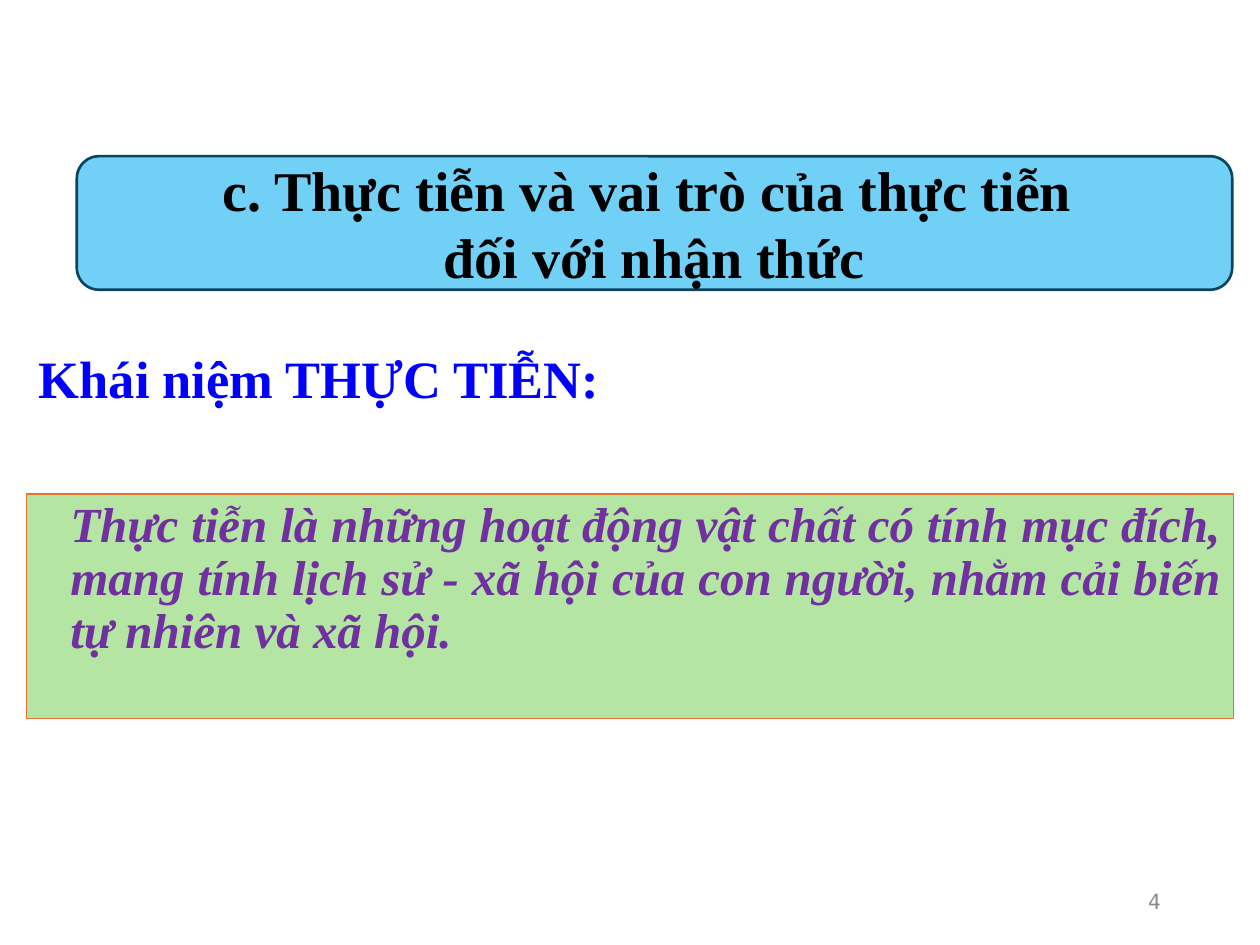
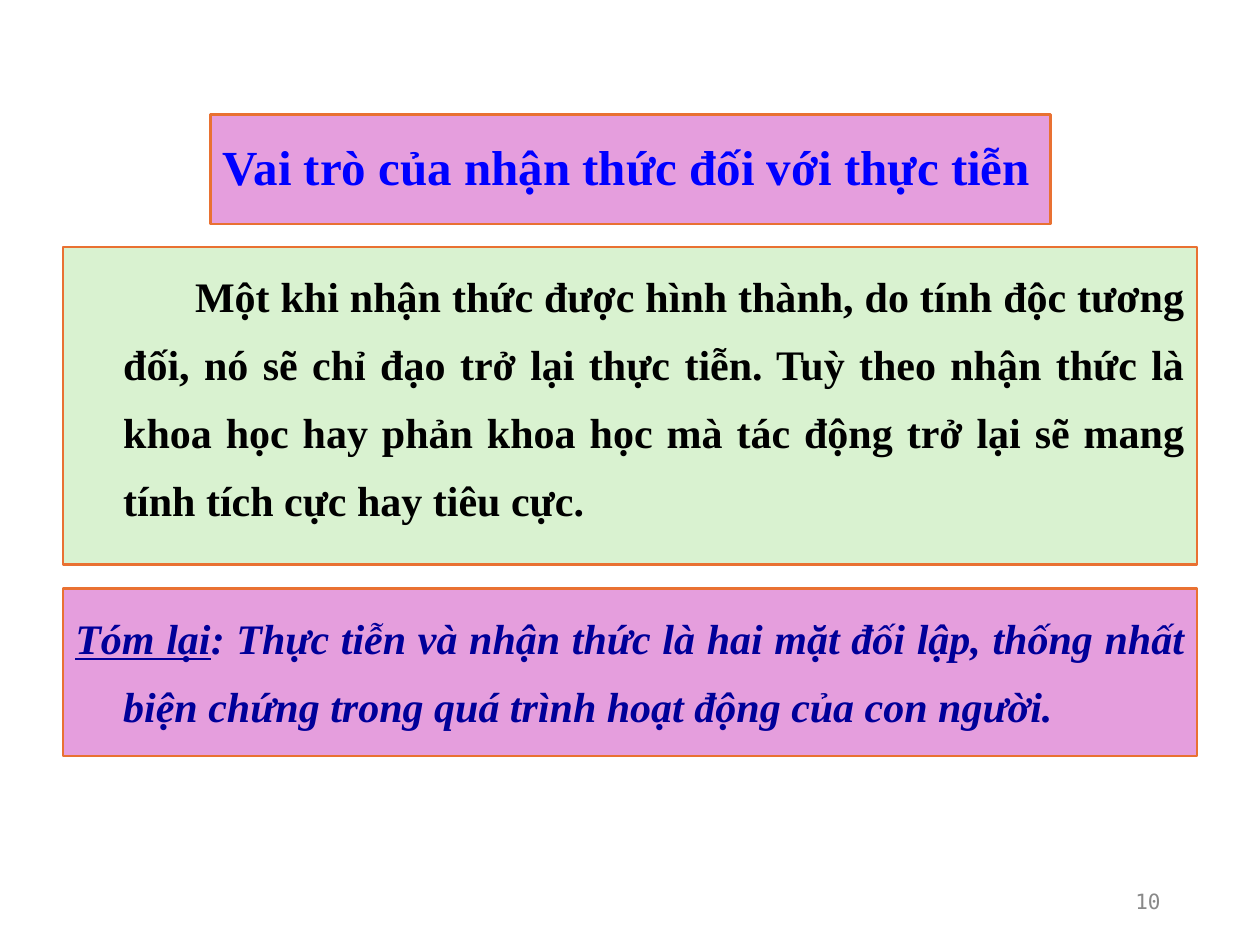
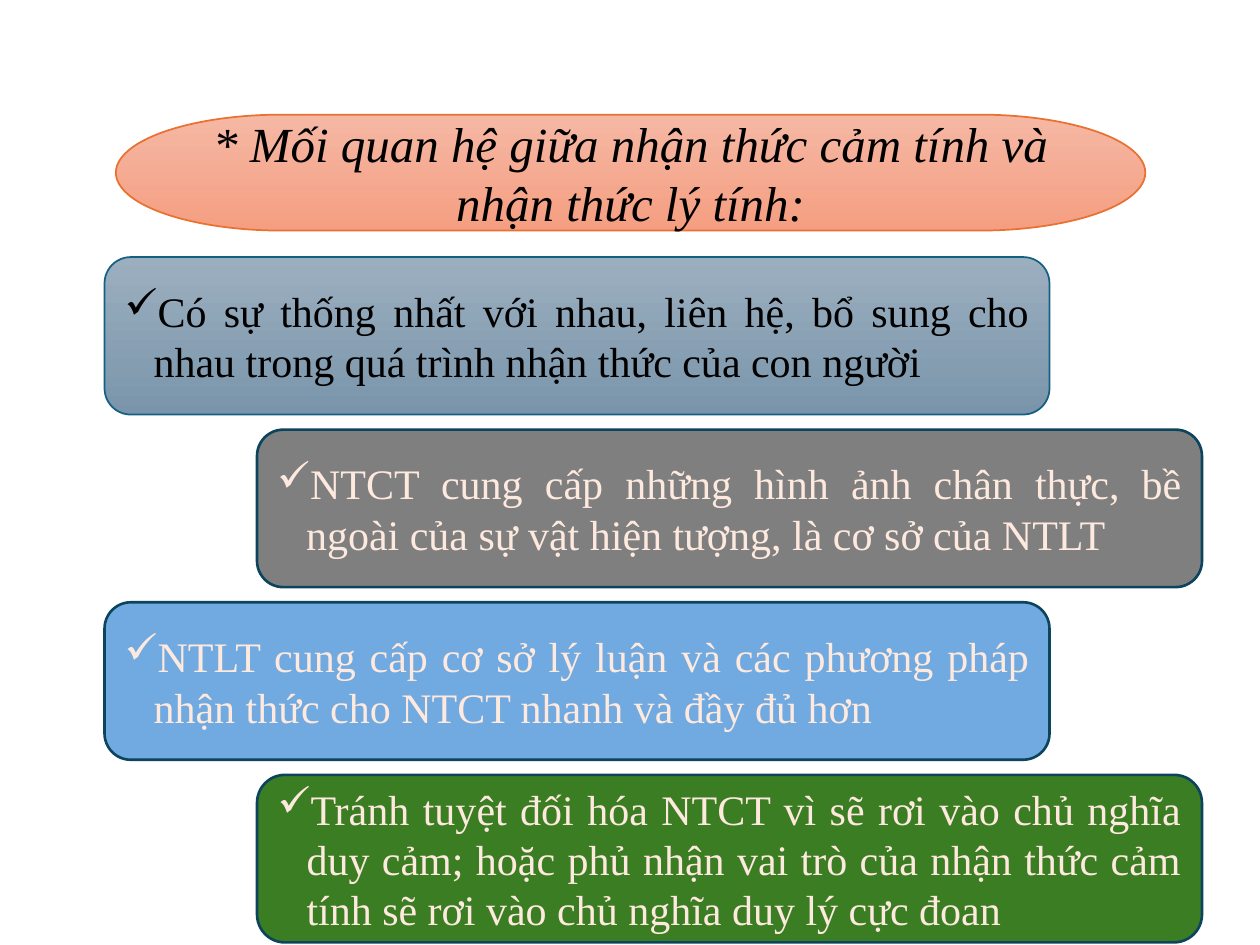
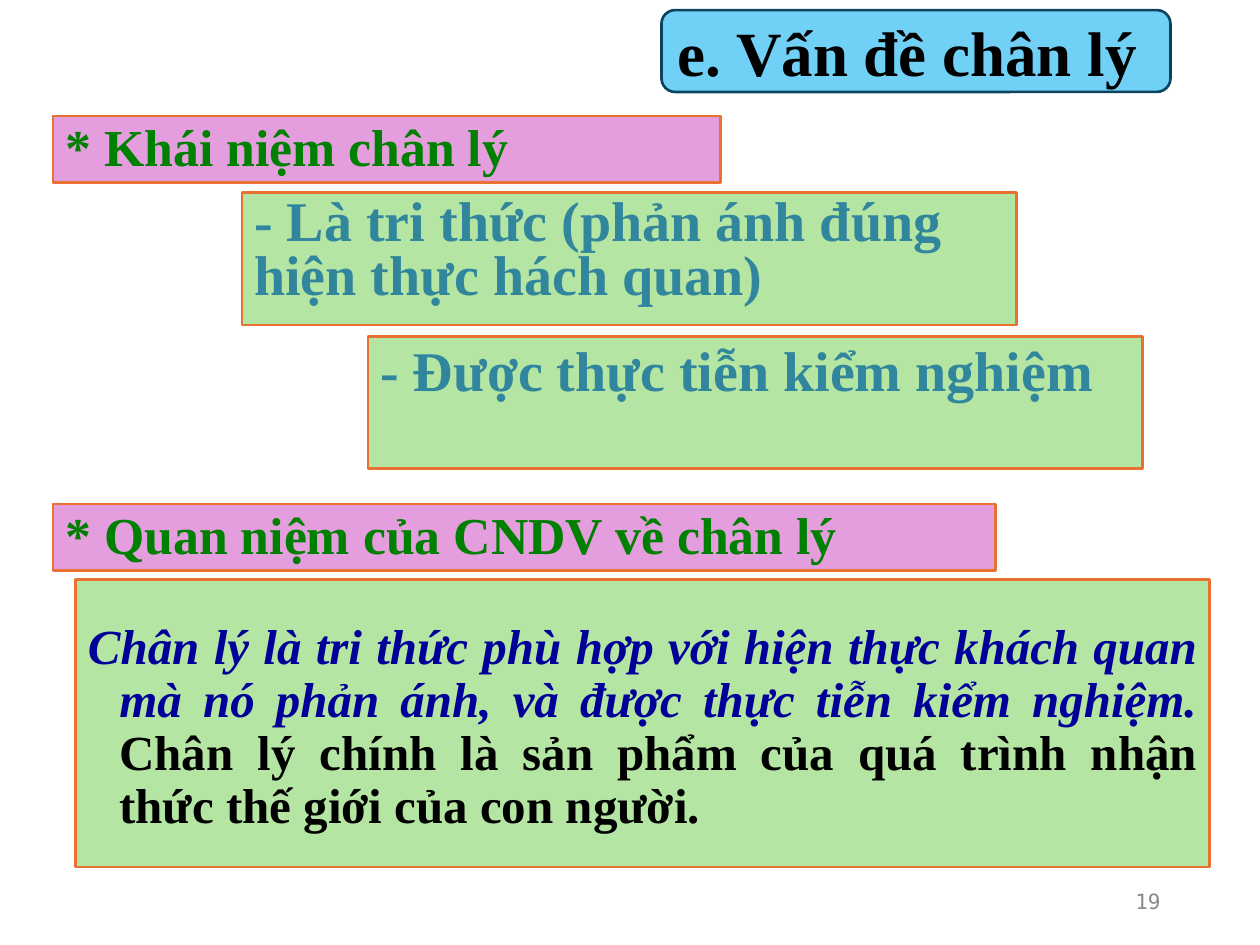
from dataclasses import dataclass

from lxml.etree import SubElement
from pptx import Presentation
from pptx.dml.color import RGBColor
from pptx.enum.shapes import MSO_SHAPE
from pptx.enum.text import MSO_ANCHOR, PP_ALIGN
from pptx.oxml.ns import qn
from pptx.util import Inches, Pt


@dataclass(frozen=True)
class Theme:
    font: str = "Times New Roman"
    number_font: str = "DejaVu Sans Mono"
    black: str = "000000"
    blue: str = "0000FF"
    navy: str = "000099"
    purple: str = "7030A0"
    teal: str = "31859C"
    dark_green: str = "008000"
    cream: str = "FEE9DE"
    grey: str = "898989"
    sky: str = "61CBF4"
    sky_edge: str = "0C445E"
    steel_edge: str = "156082"
    orange: str = "E97132"
    pink: str = "E59EDD"
    green: str = "B4E5A2"
    pale_green: str = "D9F2D0"
    peach_fade: tuple = ("F5B8A4", "F59E81")
    steel_fade: tuple = ("9CAFBF", "7A95AB")
    ash: str = "7F7F7F"
    azure: str = "71AAE0"
    forest: str = "3B7D23"
    chapter: float = 36
    heading: float = 32
    title: float = 30
    tag: float = 29.6
    lead: float = 28
    body: float = 24
    number: float = 12


@dataclass(frozen=True)
class Box:
    left: float
    top: float
    width: float
    height: float

    def inner(self, dx, dy, width, height):
        return Box(self.left + dx, self.top + dy, width, height)

    def lengths(self):
        return [Inches(v) for v in (self.left, self.top, self.width, self.height)]


T = Theme()
PAGE = Box(0, 0, 10, 7.5)


def color(value):
    return RGBColor.from_string(value)


def set_fill(sp, fill, alpha=None):
    if isinstance(fill, tuple):
        sp.fill.gradient()
        sp.fill.gradient_angle = 270
        for stop, value in zip(sp.fill.gradient_stops, fill):
            stop.color.rgb = color(value)
        return
    sp.fill.solid()
    sp.fill.fore_color.rgb = color(fill)
    if alpha:
        clr = sp._element.spPr.find(qn("a:solidFill"))[0]
        SubElement(clr, qn("a:alpha")).set("val", str(alpha * 1000))


def add_panel(s, box, fill, line=T.orange, weight=1.5, kind=MSO_SHAPE.RECTANGLE, alpha=None):
    sp = s.shapes.add_shape(kind, *box.lengths())
    sp.shadow.inherit = False
    set_fill(sp, fill, alpha)
    sp.line.color.rgb = color(line)
    sp.line.width = Pt(weight)
    return sp


def setup_frame(sp, anchor=MSO_ANCHOR.TOP, top=0.05):
    tf = sp.text_frame
    tf.word_wrap = True
    tf.vertical_anchor = anchor
    tf.margin_left = tf.margin_right = Inches(0.1)
    tf.margin_top, tf.margin_bottom = Inches(top), Inches(0.05)
    return tf


def format_paragraph(p, align=PP_ALIGN.LEFT, spacing=1.0, margin=0, indent=0, bullet=None):
    p.alignment = align
    p.line_spacing = spacing
    pPr = p._p.get_or_add_pPr()
    pPr.set("marL", str(Inches(margin)))
    pPr.set("indent", str(Inches(indent)))
    if bullet:
        buClr = SubElement(pPr, qn("a:buClr"))
        SubElement(buClr, qn("a:srgbClr")).set("val", bullet)
        SubElement(pPr, qn("a:buChar")).set("char", "✓")


def add_run(p, text, size, fill, bold=True, italic=False, underline=False, font=T.font):
    r = p.add_run()
    r.text = text
    r.font.name, r.font.size = font, Pt(size)
    r.font.color.rgb = color(fill)
    r.font.bold, r.font.italic, r.font.underline = bold, italic, underline


def heading_banner(s, box, lines, size, align):
    sp = add_panel(s, box, T.sky, T.sky_edge, kind=MSO_SHAPE.ROUNDED_RECTANGLE, alpha=90)
    tf = setup_frame(sp, MSO_ANCHOR.MIDDLE)
    for i, line in enumerate(lines):
        p = tf.add_paragraph() if i else tf.paragraphs[0]
        format_paragraph(p, align)
        add_run(p, line, size, T.black)


def slide_title(s, box, text, size, fill=None):
    sp = add_panel(s, box, fill) if fill else s.shapes.add_textbox(*box.lengths())
    p = setup_frame(sp, MSO_ANCHOR.MIDDLE).paragraphs[0]
    format_paragraph(p, spacing=0.9)
    add_run(p, text, size, T.blue)


def text_card(s, box, fill, runs, weight=1.5, top=0.05, **layout):
    sp = add_panel(s, box, fill, weight=weight)
    p = setup_frame(sp, top=top).paragraphs[0]
    format_paragraph(p, **layout)
    for text, style in runs:
        add_run(p, text, **style)


def section_tag(s, box, text):
    sp = add_panel(s, box, T.pink)
    p = setup_frame(sp, MSO_ANCHOR.BOTTOM).paragraphs[0]
    format_paragraph(p, PP_ALIGN.JUSTIFY, 0.8)
    add_run(p, text, T.tag, T.dark_green)


def terminator_title(s, box, text):
    sp = add_panel(s, box, T.peach_fade, weight=1, kind=MSO_SHAPE.FLOWCHART_TERMINATOR)
    p = setup_frame(sp, MSO_ANCHOR.MIDDLE).paragraphs[0]
    format_paragraph(p, PP_ALIGN.CENTER)
    add_run(p, text, T.lead, T.black, bold=False, italic=True)


def check_steps(s, box, steps):
    width, pitch = 7.5, 1.37
    for i, (text, fill, ink, edge, weight, height) in enumerate(steps):
        dx = (i % 2) * (box.width - width)
        sp = add_panel(s, box.inner(dx, i * pitch, width, height), fill, edge, weight,
                       MSO_SHAPE.ROUNDED_RECTANGLE)
        p = setup_frame(sp, MSO_ANCHOR.MIDDLE).paragraphs[0]
        format_paragraph(p, PP_ALIGN.JUSTIFY, margin=0.23, indent=-0.23, bullet=ink)
        add_run(p, text, T.body, ink, bold=False)


def page_number(s, box, number):
    sp = s.shapes.add_textbox(*box.inner(7.06, 6.95, 2.25, 0.4).lengths())
    p = setup_frame(sp, MSO_ANCHOR.MIDDLE).paragraphs[0]
    format_paragraph(p, PP_ALIGN.RIGHT)
    add_run(p, str(number), T.number, T.grey, bold=False, font=T.number_font)


def practice_slide(s, box):
    slide_title(s, box.inner(0.21, 2.47, 9.79, 1.12), "Khái niệm THỰC TIỄN:", T.title)
    text_card(s, box.inner(0.21, 3.92, 9.58, 1.78), T.green, [
        ("Thực tiễn là những hoạt động vật chất có tính mục đích, mang tính lịch sử - xã hội "
         "của con người, nhằm cải biến tự nhiên và xã hội.",
         dict(size=T.lead, fill=T.purple, italic=True)),
    ], weight=0.75, align=PP_ALIGN.JUSTIFY, spacing=0.9, margin=0.25)
    heading_banner(s, box.inner(0.61, 1.24, 9.17, 1.06),
                   ["c. Thực tiễn và vai trò của thực tiễn ", "đối với nhận thức"],
                   T.heading, PP_ALIGN.CENTER)
    page_number(s, box, 4)


def cognition_role_slide(s, box):
    layout = dict(align=PP_ALIGN.JUSTIFY, spacing=1.35, margin=0.38)
    summary = dict(size=T.body, fill=T.navy, italic=True)
    slide_title(s, box.inner(1.67, 0.91, 6.67, 0.87),
                "Vai trò của nhận thức đối với thực tiễn", T.lead, T.pink)
    text_card(s, box.inner(0.5, 1.96, 9, 2.52), T.pale_green, [
        ("Một khi nhận thức được hình thành, do tính độc tương đối, nó sẽ chỉ đạo trở lại "
         "thực tiễn. Tuỳ theo nhận thức là khoa học hay phản khoa học mà tác động trở lại "
         "sẽ mang tính tích cực hay tiêu cực.", dict(size=T.body, fill=T.black)),
    ], indent=0.57, **layout)
    text_card(s, box.inner(0.5, 4.67, 9, 1.33), T.pink, [
        ("Tóm lại", dict(summary, underline=True)),
        (": Thực tiễn và nhận thức là hai mặt đối lập, thống nhất biện chứng trong quá trình "
         "hoạt động của con người.", summary),
    ], indent=-0.38, **layout)
    page_number(s, box, 10)


def relation_slide(s, box):
    terminator_title(s, box.inner(0.92, 0.91, 8.17, 0.92),
                     "* Mối quan hệ giữa nhận thức cảm tính và nhận thức lý tính:")
    check_steps(s, box.inner(0.83, 2.04, 8.71, 5.44), [
        ("Có sự thống nhất với nhau, liên hệ, bổ sung cho nhau trong quá trình nhận thức "
         "của con người", T.steel_fade, T.black, T.steel_edge, 1, 1.25),
        ("NTCT cung cấp những hình ảnh chân thực, bề ngoài của sự vật hiện tượng, là cơ sở "
         "của NTLT", T.ash, T.cream, T.sky_edge, 1.5, 1.25),
        ("NTLT cung cấp cơ sở lý luận và các phương pháp nhận thức cho NTCT nhanh và đầy đủ "
         "hơn", T.azure, T.cream, T.sky_edge, 1.5, 1.25),
        ("Tránh tuyệt đối hóa NTCT vì sẽ rơi vào chủ nghĩa duy cảm; hoặc phủ nhận vai trò "
         "của nhận thức cảm tính sẽ rơi vào chủ nghĩa duy lý cực đoan",
         T.forest, T.cream, T.sky_edge, 1.5, 1.33),
    ])


def truth_slide(s, box):
    feature = dict(size=T.heading, fill=T.teal)
    heading_banner(s, box.inner(5.25, 0.08, 4.04, 0.65), ["e. Vấn đề chân lý"],
                   T.chapter, PP_ALIGN.LEFT)
    section_tag(s, box.inner(0.42, 0.92, 5.3, 0.53), "* Khái niệm chân lý")
    text_card(s, box.inner(1.92, 1.53, 6.15, 1.05), T.green,
              [("- Là tri thức (phản ánh đúng hiện thực hách quan)", feature)], spacing=0.8)
    text_card(s, box.inner(2.92, 2.67, 6.15, 1.05), T.green,
              [("- Được thực tiễn kiểm nghiệm", feature)], spacing=0.9)
    section_tag(s, box.inner(0.42, 4, 7.48, 0.53), "* Quan niệm của CNDV về chân lý")
    text_card(s, box.inner(0.6, 4.6, 9, 2.28), T.green, [
        ("Chân lý là tri thức phù hợp với hiện thực khách quan mà nó phản ánh, và được thực "
         "tiễn kiểm nghiệm. ", dict(size=T.lead, fill=T.navy, italic=True)),
        ("Chân lý chính là sản phẩm của quá trình nhận thức thế giới của con người.",
         dict(size=T.lead, fill=T.black)),
    ], top=0.34, align=PP_ALIGN.JUSTIFY, spacing=0.9, margin=0.25, indent=-0.25)
    page_number(s, box, 19)


def main():
    prs = Presentation()
    prs.slide_width, prs.slide_height = Inches(PAGE.width), Inches(PAGE.height)
    for build in (practice_slide, cognition_role_slide, relation_slide, truth_slide):
        build(prs.slides.add_slide(prs.slide_layouts[6]), PAGE)
    prs.save("out.pptx")


if __name__ == "__main__":
    main()
